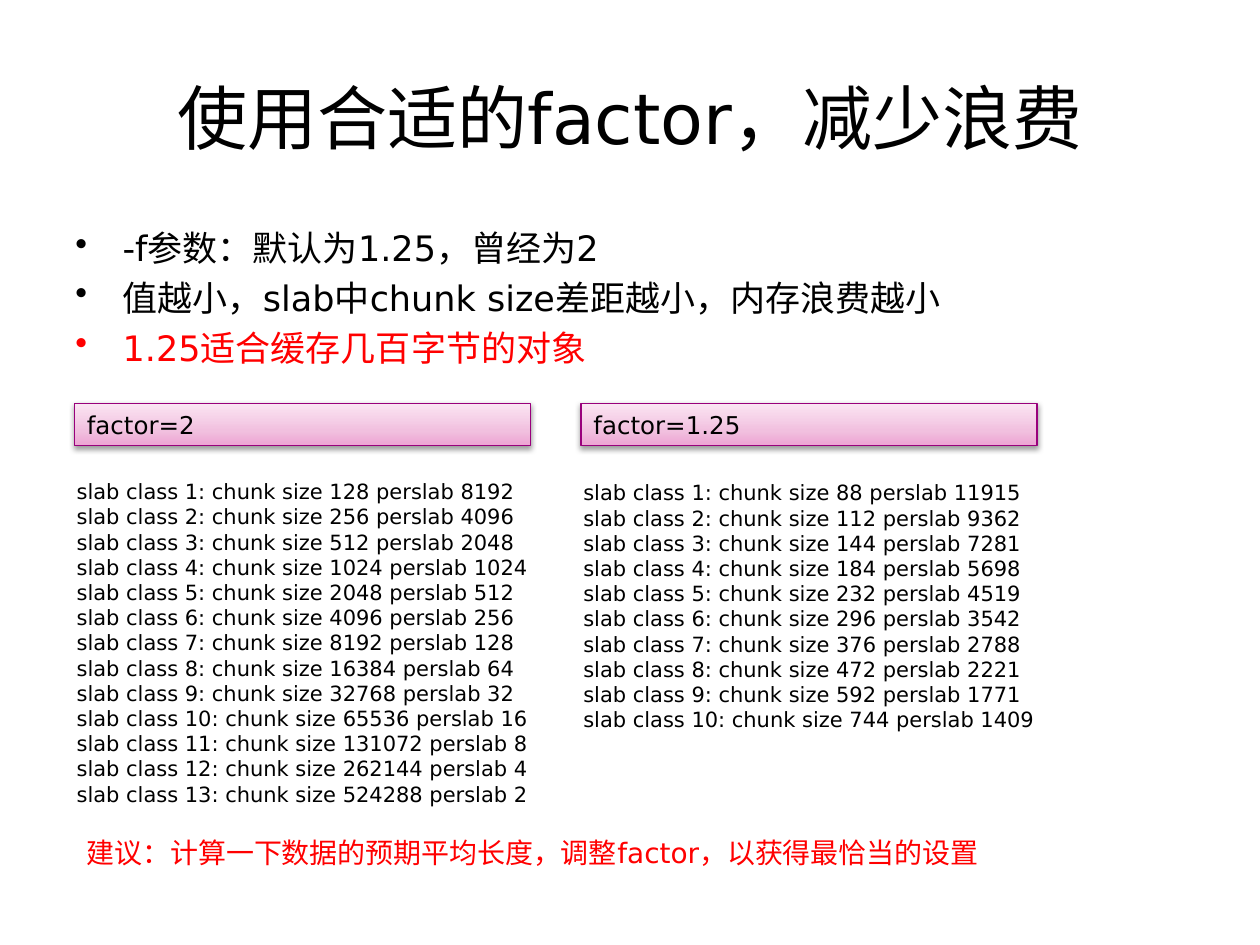
from dataclasses import dataclass

from lxml import etree
from pptx import Presentation
from pptx.dml.color import RGBColor
from pptx.enum import shapes, text
from pptx.oxml import ns, parse_xml
from pptx.util import Pt


@dataclass(frozen=True)
class Theme:
    font: str = "DejaVu Sans"
    ink: str = "000000"
    accent: str = "FF0000"
    border: str = "99007C"
    gradient: tuple = ((0, "EDA4D3"), (35, "F1C0DF"), (100, "FBE6F3"))
    title: int = 40
    body: int = 20
    advice: int = 16
    header: int = 14
    listing: int = 12


THEME = Theme()
PAGE_BYTES = 2 ** 20
FACTORS = (
    # heading, left of header, left and top of listing, chunk sizes
    ("factor=2", 42.5, 36.7, 270, [128 * 2 ** n for n in range(13)]),
    ("factor=1.25", 332, 326.2, 270.7,
     [88, 112, 144, 184, 232, 296, 376, 472, 592, 744]),
)


def write(frame, lines, size, color=THEME.ink, align=text.PP_ALIGN.LEFT,
          anchor=text.MSO_ANCHOR.TOP, bullet=None, indent=0, gap=0):
    """Fill a text frame; a line is a string or a (string, colour) pair."""
    frame.word_wrap = True
    frame.vertical_anchor = anchor
    for number, line in enumerate(lines):
        words, line_color = (line, color) if isinstance(line, str) else line
        paragraph = frame.paragraphs[0] if number == 0 else frame.add_paragraph()
        if bullet:
            properties = paragraph._p.get_or_add_pPr()
            properties.set("marL", str(Pt(indent)))
            properties.set("indent", str(-Pt(indent)))
            etree.SubElement(properties, ns.qn("a:buChar"), char=bullet)
        if number and gap:
            paragraph.space_before = Pt(gap)
        paragraph.alignment = align
        run = paragraph.add_run()
        run.text = words
        run.font.name = THEME.font
        run.font.size = Pt(size)
        run.font.color.rgb = RGBColor.from_string(line_color)


def add_text(slide, left, top, width, height, lines, size, **style):
    box = slide.shapes.add_textbox(Pt(left), Pt(top), Pt(width), Pt(height))
    write(box.text_frame, lines, size, **style)


def add_header(slide, left, heading):
    """Bordered bar with an upward gradient and a soft shadow below."""
    bar = slide.shapes.add_shape(shapes.MSO_SHAPE.RECTANGLE,
                                 Pt(left), Pt(230.4), Pt(260.6), Pt(24.3))
    bar.line.color.rgb = RGBColor.from_string(THEME.border)
    bar.line.width = Pt(0.75)
    stops = "".join(
        f'<a:gs pos="{place * 1000}"><a:srgbClr val="{color}"/></a:gs>'
        for place, color in THEME.gradient)
    properties = bar._element.spPr
    properties.find(ns.qn("a:prstGeom")).addnext(parse_xml(
        f'<a:gradFill {ns.nsdecls("a")} rotWithShape="1"><a:gsLst>{stops}</a:gsLst>'
        '<a:lin ang="16200000" scaled="0"/></a:gradFill>'))
    properties.append(parse_xml(
        f'<a:effectLst {ns.nsdecls("a")}>'
        f'<a:outerShdw blurRad="{Pt(3.1)}" dist="{Pt(1.6)}" dir="5400000" '
        f'rotWithShape="0"><a:srgbClr val="{THEME.ink}"><a:alpha val="38000"/>'
        '</a:srgbClr></a:outerShdw></a:effectLst>'))
    write(bar.text_frame, [heading], THEME.header,
          anchor=text.MSO_ANCHOR.MIDDLE)


def slab_lines(chunk_sizes):
    return [f"slab class {number}: chunk size {size} perslab {PAGE_BYTES // size}"
            for number, size in enumerate(chunk_sizes, 1)]


def main():
    deck = Presentation()
    deck.slide_width, deck.slide_height = Pt(720), Pt(540)
    slide = deck.slides.add_slide(deck.slide_layouts[6])

    # Title
    add_text(slide, 36, 21.6, 648, 90, ["使用合适的factor，减少浪费"], THEME.title,
             align=text.PP_ALIGN.CENTER, anchor=text.MSO_ANCHOR.MIDDLE)

    # Key points
    add_text(slide, 36, 126, 648, 100, [
        "-f参数：默认为1.25，曾经为2",
        "值越小，slab中chunk size差距越小，内存浪费越小",
        ("1.25适合缓存几百字节的对象", THEME.accent),
    ], THEME.body, bullet="•", indent=27, gap=4.5)

    # Slab classes for each factor
    for heading, bar_left, list_left, list_top, chunk_sizes in FACTORS:
        lines = slab_lines(chunk_sizes)
        add_text(slide, list_left, list_top, 278, 7.2 + 14.55 * len(lines),
                 lines, THEME.listing)
        add_header(slide, bar_left, heading)

    # Advice
    add_text(slide, 42.5, 473.8, 561.6, 26.6,
             ["建议：计算一下数据的预期平均长度，调整factor，以获得最恰当的设置"],
             THEME.advice, color=THEME.accent)

    deck.save("out.pptx")


if __name__ == "__main__":
    main()
